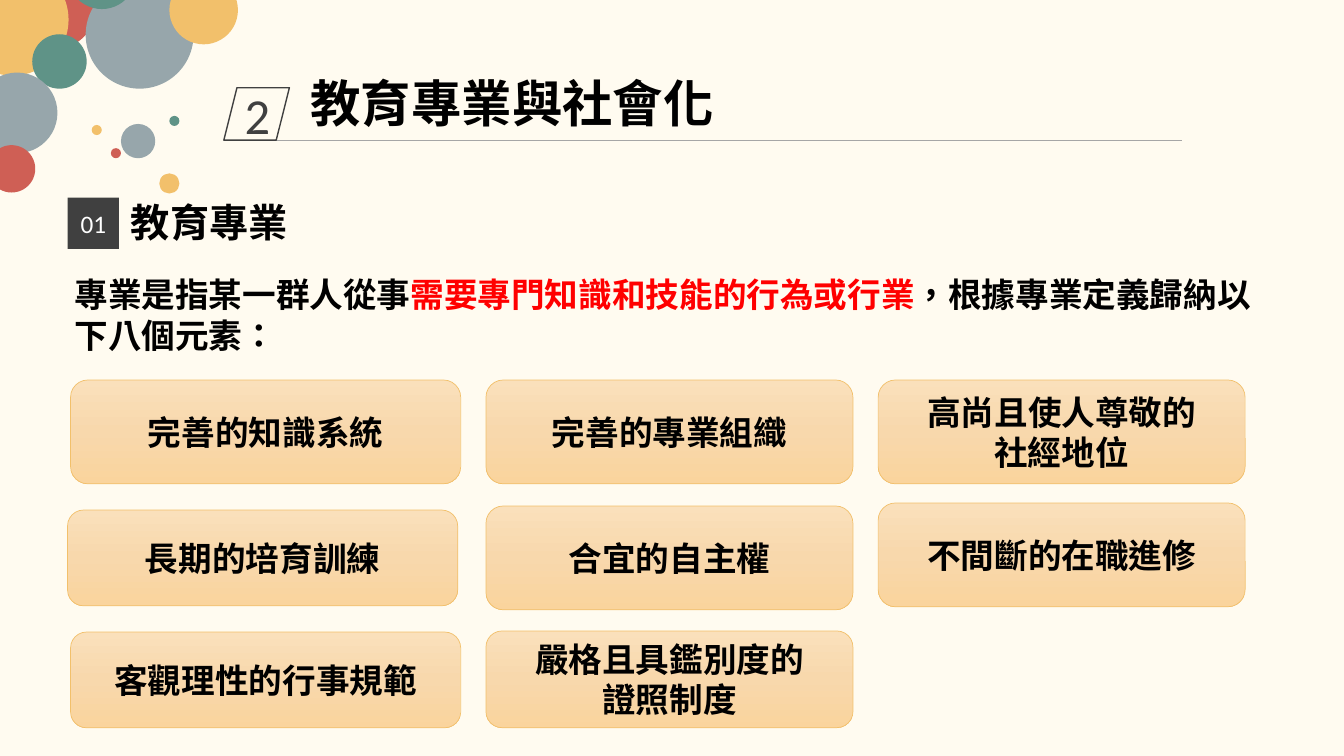
import copy
from dataclasses import dataclass

import pptx
import pptx.dml.color
import pptx.enum.lang
import pptx.enum.shapes
import pptx.enum.text
import pptx.oxml
import pptx.oxml.ns
import pptx.util

EMU_PER_PX = 9144  # 100 px to the inch
SHAPE = pptx.enum.shapes.MSO_SHAPE
ALIGN = pptx.enum.text.PP_ALIGN
ANCHOR = pptx.enum.text.MSO_ANCHOR


@dataclass(frozen=True)
class Theme:
    background: str = "FFFBF0"
    black: str = "000000"
    white: str = "FFFFFF"
    dark: str = "404040"
    rule: str = "A6A6A6"
    highlight: str = "FF0000"
    red: str = "CF5F55"
    yellow: str = "F2C06B"
    green: str = "5F9387"
    gray: str = "97A6AB"
    card_stops: tuple = ((0, "FAE0BB"), (0.5, "F8D8AC"), (1, "FAD49D"))
    font: str = "Calibri"
    title_font: str = "Noto Sans CJK SC"
    title_size: int = 36
    heading_size: int = 28
    body_size: int = 24
    badge_size: int = 18


theme = Theme()
color = pptx.dml.color.RGBColor.from_string

presentation = pptx.Presentation()
presentation.slide_width = 1333 * EMU_PER_PX
presentation.slide_height = 750 * EMU_PER_PX
slide = presentation.slides.add_slide(presentation.slide_layouts[6])
slide.background.fill.solid()
slide.background.fill.fore_color.rgb = color(theme.background)


def add_shape(kind, box, fill=None, line=None, line_width=0.5):
    """Add a shadowless shape; box is left, top, width, height in px."""
    shape = slide.shapes.add_shape(kind, *(length * EMU_PER_PX for length in box))
    shape.shadow.inherit = False
    if fill:
        shape.fill.solid()
        shape.fill.fore_color.rgb = color(fill)
    else:
        shape.fill.background()
    if line:
        shape.line.color.rgb = color(line)
        shape.line.width = pptx.util.Pt(line_width)
    else:
        shape.line.fill.background()
    return shape


def write(shape, paragraphs, size, ink=theme.black, bold=True,
          font=theme.font, align=ALIGN.CENTER, anchor=ANCHOR.MIDDLE):
    """Fill a shape; each paragraph is a list of (text, own colour or None)."""
    frame = shape.text_frame
    frame.word_wrap = True
    frame.vertical_anchor = anchor
    for index, runs in enumerate(paragraphs):
        paragraph = frame.add_paragraph() if index else frame.paragraphs[0]
        paragraph.alignment = align
        paragraph.font.name = font
        paragraph.font.size = pptx.util.Pt(size)
        paragraph.font.bold = bold
        paragraph.font.color.rgb = color(ink)
        for text, run_ink in runs:
            run = paragraph.add_run()
            run.text = text
            run.font.language_id = pptx.enum.lang.MSO_LANGUAGE_ID.TRADITIONAL_CHINESE
            if run_ink:
                run.font.color.rgb = color(run_ink)


# Corner bubbles: left, top, diameter, colour
bubbles = [
    (4, -43, 93, theme.red),
    (-43, -36, 111, theme.yellow),
    (32, 34, 54, theme.green),
    (-23, 72, 80, theme.gray),
    (85, -19, 107, theme.gray),
    (67, -59, 68, theme.green),
    (-12, 144, 47, theme.red),
    (120, 123, 34, theme.gray),
    (110, 147, 10, theme.red),
    (91, 124, 10, theme.yellow),
    (168, 115, 10, theme.green),
    (158, 172, 20, theme.yellow),
    (168, -24, 68, theme.yellow),
]
for left, top, diameter, fill in bubbles:
    add_shape(SHAPE.OVAL, (left, top, diameter, diameter), fill)

# Title rule, number and section badge
title_rule = slide.shapes.add_connector(
    pptx.enum.shapes.MSO_CONNECTOR.STRAIGHT,
    *(length * EMU_PER_PX for length in (270, 139, 1172, 139)))
title_rule.line.color.rgb = color(theme.rule)
title_rule.line.width = pptx.util.Pt(0.5)
title_rule._element.spPr.append(pptx.oxml.parse_xml(
    f"<a:effectLst {pptx.oxml.ns.nsdecls('a')}/>"))

number = add_shape(SHAPE.PARALLELOGRAM, (222, 87, 65, 52), line=theme.dark, line_width=1)
write(number, [[("2", None)]], theme.title_size, theme.dark, bold=False)
badge = add_shape(SHAPE.RECTANGLE, (67, 196, 51, 51), theme.dark)
write(badge, [[("01", None)]], theme.badge_size, theme.white, bold=False)

# Title, heading and introduction
texts = [
    ((298, 67, 435, 71), theme.title_size, theme.title_font,
     [("教育專業與社會化", None)]),
    ((120, 192, 405, 57), theme.heading_size, theme.font,
     [("教育專業", None)]),
    ((64, 267, 1197, 91), theme.body_size, theme.font,
     [("專業是指某一群人從事", None),
      ("需要專門知識和技能的行為或行業", theme.highlight),
      ("，根據專業定義歸納以下八個元素：", None)]),
]
for box, size, font, runs in texts:
    text_box = slide.shapes.add_textbox(*(length * EMU_PER_PX for length in box))
    write(text_box, [runs], size, font=font, align=ALIGN.LEFT, anchor=ANCHOR.TOP)

# Element cards: left, top, width, height, lines
cards = [
    (70, 377, 387, 103, ["完善的知識系統"]),
    (482, 377, 364, 103, ["完善的專業組織"]),
    (871, 377, 364, 103, ["高尚且使人尊敬的", "社經地位"]),
    (67, 506, 387, 95, ["長期的培育訓練"]),
    (482, 502, 364, 103, ["合宜的自主權"]),
    (871, 499, 364, 103, ["不間斷的在職進修"]),
    (70, 627, 387, 95, ["客觀理性的行事規範"]),
    (482, 626, 364, 96, ["嚴格且具鑑別度的", "證照制度"]),
]
for *box, lines in cards:
    card = add_shape(SHAPE.ROUNDED_RECTANGLE, box, line=theme.yellow)
    card.fill.gradient()
    card.fill.gradient_angle = 270
    stop_list = card._element.spPr.find(f".//{pptx.oxml.ns.qn('a:gsLst')}")
    stop_list.append(copy.deepcopy(stop_list[-1]))
    for stop, (position, stop_color) in zip(card.fill.gradient_stops, theme.card_stops):
        stop.position = position
        stop.color.rgb = color(stop_color)
    write(card, [[(line, None)] for line in lines], theme.body_size)

presentation.save("out.pptx")
